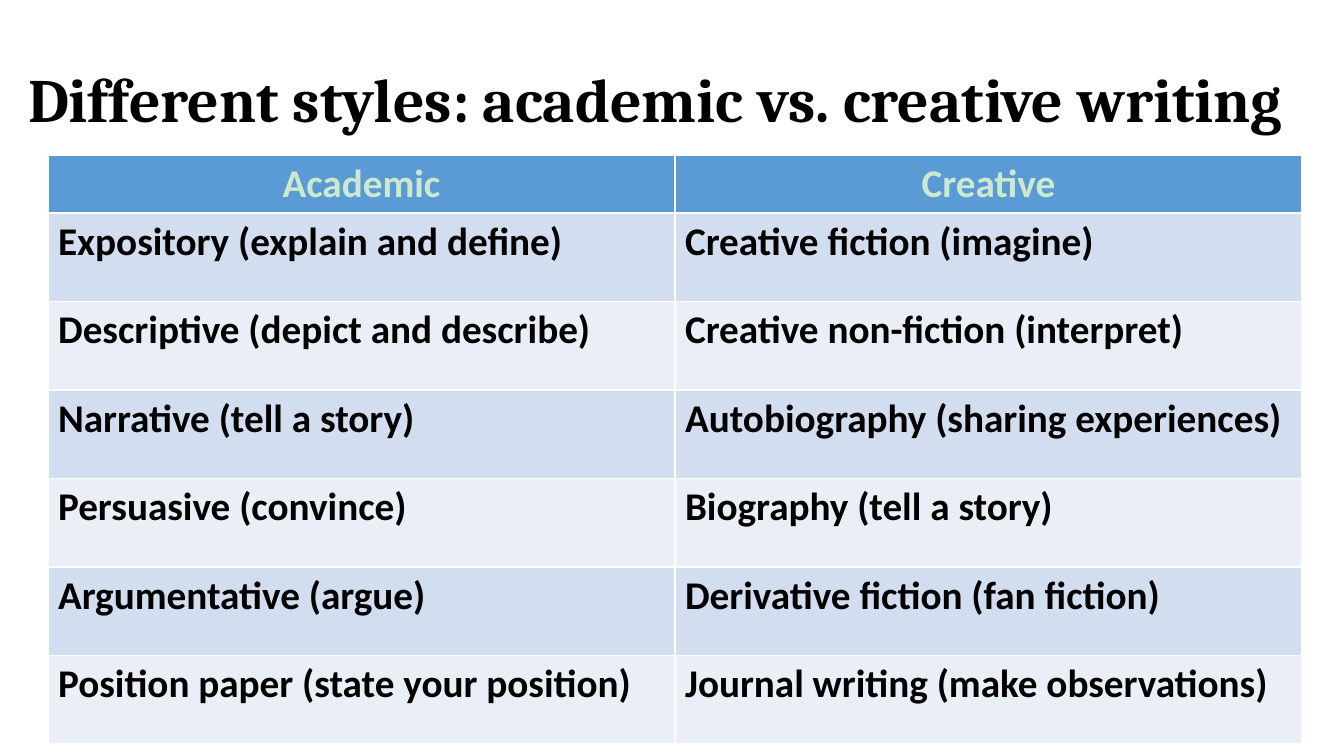
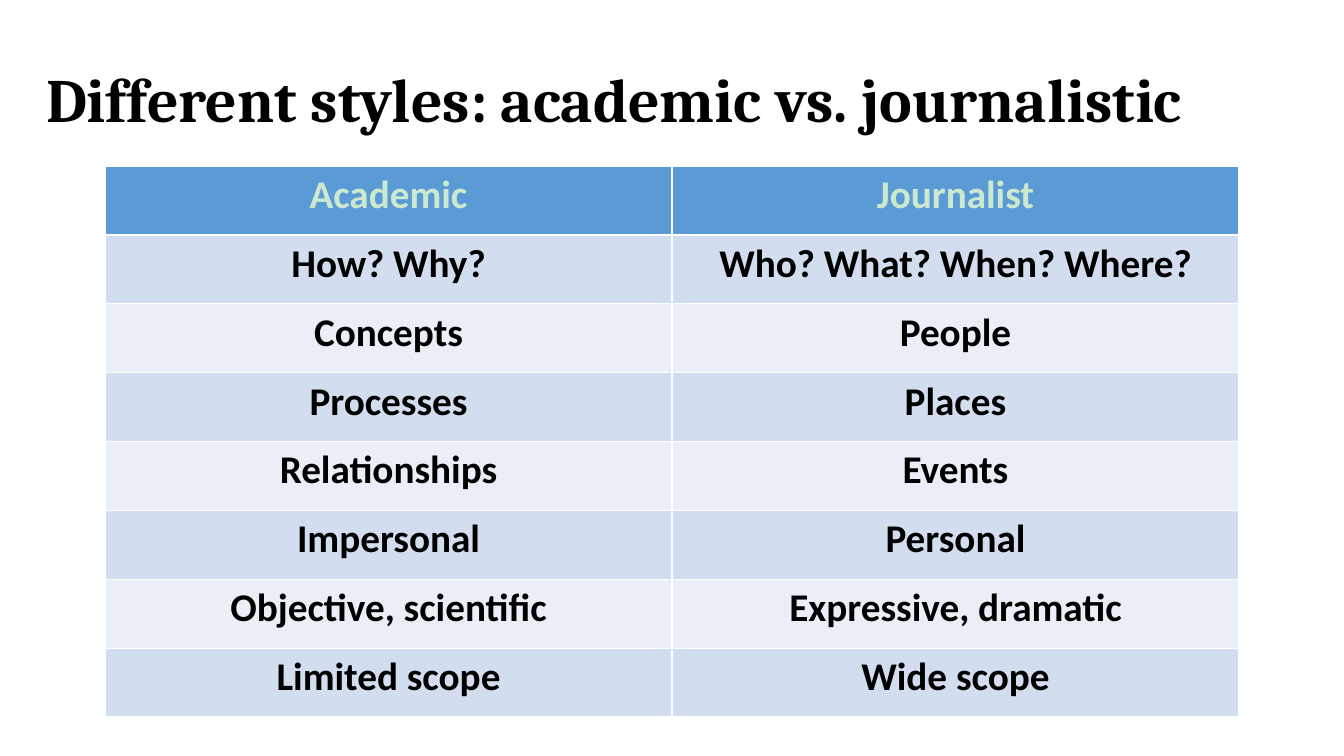
from lxml import etree
from pptx import Presentation
from pptx import util as u
from pptx.dml.color import RGBColor
from pptx.enum import text
from pptx.oxml import ns

EMU_PER_PX = 914400 / 100.8
BLACK = RGBColor(0x00, 0x00, 0x00)
WHITE = RGBColor(0xFF, 0xFF, 0xFF)
MINT = RGBColor(0xCC, 0xE8, 0xCF)
BLUE = RGBColor(0x5B, 0x9B, 0xD5)
BANDS = (RGBColor(0xD2, 0xDE, 0xEF), RGBColor(0xEA, 0xEF, 0xF7))
LEFT, CENTER = text.PP_ALIGN.LEFT, text.PP_ALIGN.CENTER

STYLES = [
    ("Academic", "Creative"),
    ("Expository (explain and define)", "Creative fiction (imagine)"),
    ("Descriptive (depict and describe)", "Creative non-fiction (interpret)"),
    ("Narrative (tell a story)", "Autobiography (sharing experiences)"),
    ("Persuasive (convince)", "Biography (tell a story)"),
    ("Argumentative (argue)", "Derivative fiction (fan fiction)"),
    ("Position paper (state your position)", "Journal writing (make observations)"),
]
CONTRASTS = [
    ("Academic", "Journalist"),
    ("How? Why?", "Who? What? When? Where?"),
    ("Concepts", "People"),
    ("Processes", "Places"),
    ("Relationships", "Events"),
    ("Impersonal", "Personal"),
    ("Objective, scientific", "Expressive, dramatic"),
    ("Limited scope", "Wide scope"),
]


def px(n):
    return u.Emu(round(n * EMU_PER_PX))


def write(tf, content, font="Calibri", size=28, color=BLACK, align=LEFT, spacing=None):
    p = tf.paragraphs[0]
    p.alignment = align
    p.line_spacing = spacing
    r = p.add_run()
    r.text = content
    r.font.name = font
    r.font.size = u.Pt(size)
    r.font.bold = True
    r.font.color.rgb = color


def set_borders(cell, color=WHITE, width=1):
    tc_pr = cell._tc.get_or_add_tcPr()
    for i, side in enumerate(("lnL", "lnR", "lnT", "lnB")):
        ln = etree.Element(ns.qn(f"a:{side}"), w=str(u.Pt(width)))
        fill = etree.SubElement(ln, ns.qn("a:solidFill"))
        etree.SubElement(fill, ns.qn("a:srgbClr"), val=str(color))
        tc_pr.insert(i, ln)


class Deck:
    def __init__(self):
        self.prs = Presentation()
        self.prs.slide_width, self.prs.slide_height = px(1344), px(756)
        self.s = None

    def slide(self, title, left, width):
        self.s = self.prs.slides.add_slide(self.prs.slide_layouts[5])
        sp = self.s.shapes.title
        sp.left, sp.top, sp.width, sp.height = px(left), px(30), px(width), px(146)
        tf = sp.text_frame
        tf.word_wrap = True
        tf.auto_size = text.MSO_AUTO_SIZE.NONE
        tf.vertical_anchor = text.MSO_ANCHOR.MIDDLE
        write(tf, title, font="Cambria", size=44, spacing=0.9)

    def table(self, rows, left, top, width, height, header, align):
        frame = self.s.shapes.add_table(
            len(rows), len(rows[0]), px(left), px(top), px(width), px(height))
        tbl = frame.table
        body = (height - header) / (len(rows) - 1)
        for i, row in enumerate(rows):
            is_header = i == 0
            tbl.rows[i].height = px(header if is_header else body)
            for j, content in enumerate(row):
                cell = tbl.cell(i, j)
                cell.fill.solid()
                cell.fill.fore_color.rgb = BLUE if is_header else BANDS[(i - 1) % 2]
                set_borders(cell)
                write(cell.text_frame, content,
                      color=MINT if is_header else BLACK,
                      align=CENTER if is_header else align)


def main():
    deck = Deck()
    deck.slide("Different styles: academic vs. creative writing", 18, 1326)
    deck.table(STYLES, 48, 155, 1254, 589, header=58, align=LEFT)
    deck.slide("Different styles: academic vs. journalistic", 36, 1278)
    deck.table(CONTRASTS, 105, 166, 1134, 551, header=69, align=CENTER)
    deck.prs.save("out.pptx")


if __name__ == "__main__":
    main()
